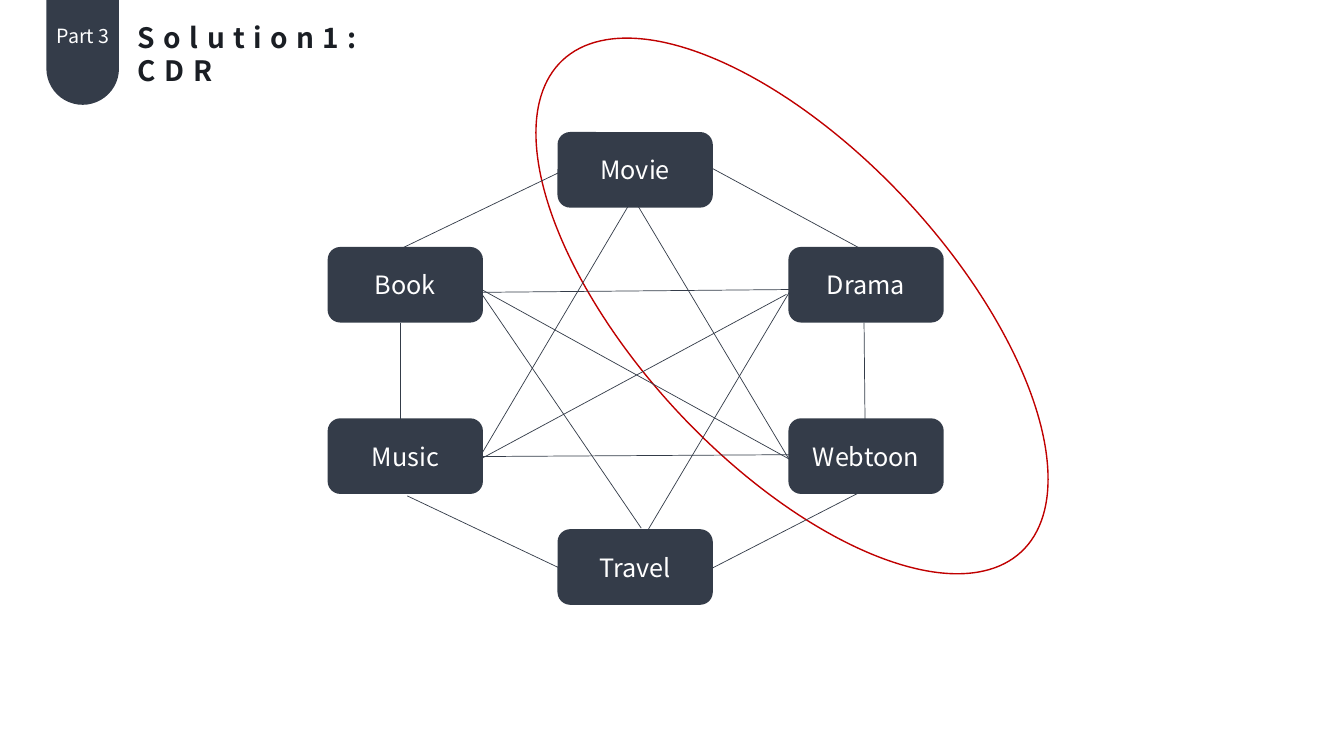
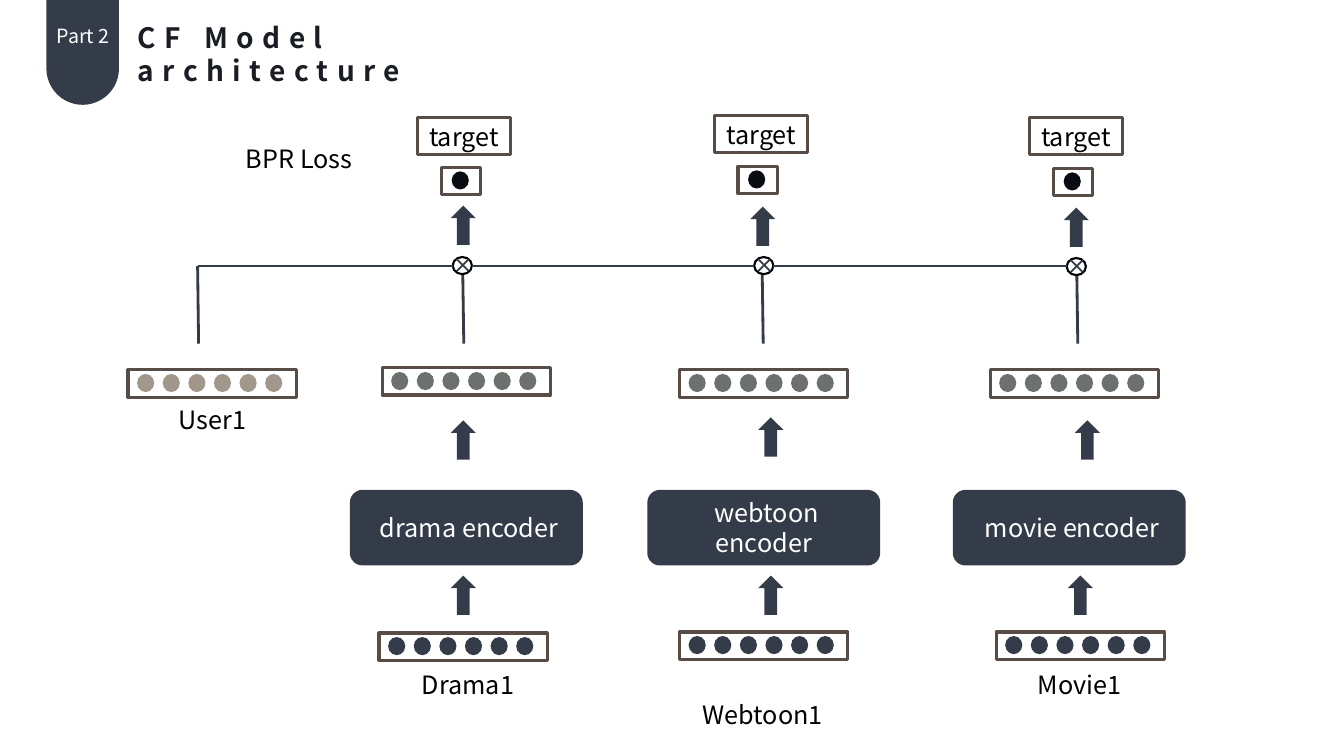
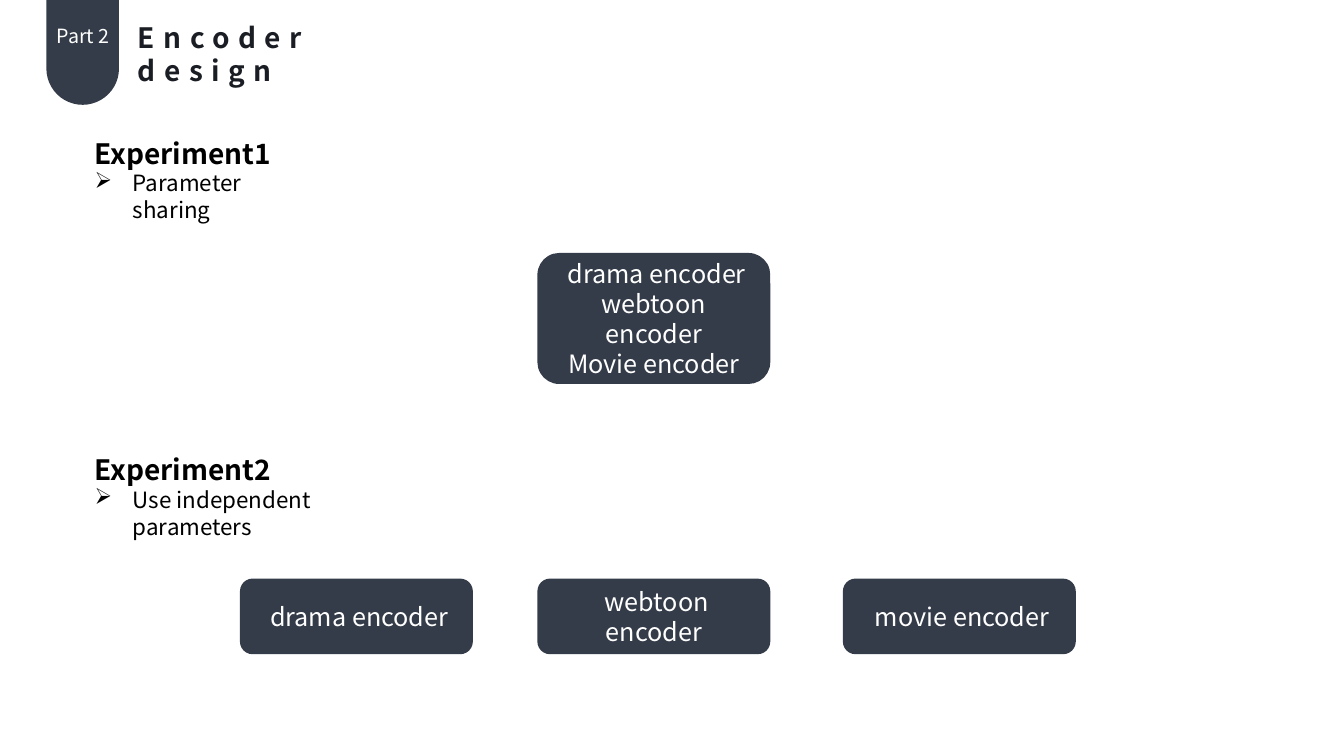
from dataclasses import dataclass

from lxml import etree
from pptx import Presentation
from pptx.dml.color import RGBColor
from pptx.enum import shapes, text
from pptx.oxml import ns
from pptx.util import Inches, Pt


@dataclass(frozen=True)
class Theme:
    font: str = "Noto Sans CJK KR"
    navy: str = "343C49"
    title: str = "1A1E24"
    white: str = "FFFFFF"
    black: str = "000000"
    score: str = "090C11"
    frame: str = "584C46"
    user: str = "A1978B"
    embedding: str = "6C716E"
    highlight: str = "C00000"
    heading_size: int = 20
    body_size: int = 18
    bullet_size: int = 16
    tag_size: int = 14


THEME = Theme()
KIND = shapes.MSO_SHAPE
CENTER = text.PP_ALIGN.CENTER


@dataclass(frozen=True)
class Column:
    """Places of one item's parts, from the input row at the bottom to the target."""
    item: str
    encoder: str
    encoder_left: float
    items: tuple
    label: tuple
    input_arrow: float
    output_arrow: tuple
    embedding: tuple
    stem: float
    gate: tuple
    score_arrow: tuple
    score: tuple
    target: tuple


COLUMNS = (
    Column(" Drama1", " drama encoder", 3.47, (3.76, 6.28), (4.03, 1.21), 4.47,
           (4.47, 4.17), (3.79, 3.65), 4.59, (4.49, 2.55), (4.47, 2.04),
           (4.38, 1.66), (4.14, 1.17)),
    Column(" Webtoon1", " webtoon encoder", 6.42, (6.74, 6.27), (6.87, 1.41), 7.52,
           (7.52, 4.14), (6.74, 3.67), 7.56, (7.48, 2.55), (7.44, 2.05),
           (7.32, 1.65), (7.09, 1.15)),
    Column(" Movie1", " movie encoder", 9.45, (9.88, 6.27), (10.14, 1.21), 10.59,
           (10.66, 4.17), (9.82, 3.67), 10.68, (10.58, 2.56), (10.55, 2.06),
           (10.45, 1.67), (10.21, 1.17)),
)


def rgb(color):
    return RGBColor.from_string(color)


def add_span(para, words, size, color, bold=False, spacing=0):
    span = para.add_run()
    span.text = words
    span.font.name = THEME.font
    span.font.size = Pt(size)
    span.font.bold = bold
    span.font.color.rgb = rgb(color)
    if spacing:
        span._r.get_or_add_rPr().set("spc", str(spacing * 100))


def add_shape(parent, kind, box, fill=None, line=None, weight=1):
    shape = parent.add_shape(kind, *map(Inches, box))
    shape.shadow.inherit = False
    if fill:
        shape.fill.solid()
        shape.fill.fore_color.rgb = rgb(fill)
    else:
        shape.fill.background()
    if line:
        shape.line.color.rgb = rgb(line)
        shape.line.width = Pt(weight)
    else:
        shape.line.fill.background()
    return shape


def add_line(parent, start, end, weight):
    line = parent.add_connector(shapes.MSO_CONNECTOR.STRAIGHT,
                                *map(Inches, (*start, *end)))
    line.line.color.rgb = rgb(THEME.navy)
    line.line.width = Pt(weight)
    etree.SubElement(line._element.spPr, ns.qn("a:effectLst"))


def add_text_box(page, box, wrap=True):
    frame = page.shapes.add_textbox(*map(Inches, box)).text_frame
    frame.word_wrap = wrap
    frame.auto_size = text.MSO_AUTO_SIZE.SHAPE_TO_FIT_TEXT
    return frame


def add_label(page, words, box):
    para = add_text_box(page, box).paragraphs[0]
    add_span(para, words, THEME.body_size, THEME.black)


def fill_centered(shape, lines, color):
    frame = shape.text_frame
    frame.word_wrap = True
    frame.vertical_anchor = text.MSO_ANCHOR.MIDDLE
    for index, words in enumerate(lines):
        para = frame.add_paragraph() if index else frame.paragraphs[0]
        para.alignment = CENTER
        add_span(para, words, THEME.body_size, color)


def add_block(page, lines, box):
    """Dark rounded box with centred lines."""
    block = add_shape(page.shapes, KIND.ROUNDED_RECTANGLE, box, THEME.navy)
    fill_centered(block, lines, THEME.white)


def add_encoder(page, lines, left, top, height=0.75):
    add_block(page, lines, (left, top, 2.31, height))


def add_page(deck, part, title, title_width):
    """Blank page with the hanging part tag and the title."""
    page = deck.slides.add_slide(deck.slide_layouts[6])
    tag = add_shape(page.shapes, KIND.ROUND_2_SAME_RECTANGLE,
                    (0.46, 0, 0.72, 1.04), THEME.navy)
    tag.adjustments[0], tag.adjustments[1] = 0, 0.5
    para = add_text_box(page, (1.27, 0.15, title_width, 0.44)).paragraphs[0]
    add_span(para, title, THEME.heading_size, THEME.title, bold=True, spacing=6)
    para = add_text_box(page, (0.46, 0.19, 0.73, 0.34), wrap=False).paragraphs[0]
    para.alignment = CENTER
    add_span(para, part, THEME.tag_size, THEME.white)
    return page


def add_dots(page, place, color, count=6):
    """Framed row of evenly spaced dots."""
    left, top = place
    row = page.shapes.add_group_shape().shapes
    width, inset = (1.67, 0.09) if count > 1 else (0.39, 0.1)
    pitch = 1.27 / 5
    for index in range(count):
        dot = (left + inset + index * pitch, top + 0.04, 0.17, 0.18)
        add_shape(row, KIND.OVAL, dot, color)
    add_shape(row, KIND.RECTANGLE, (left, top, width, 0.27), None, THEME.frame, 2.25)


def add_gate(page, place):
    """Circle with a cross: the product of two vectors."""
    left, top = place
    gate = page.shapes.add_group_shape().shapes
    add_shape(gate, KIND.OVAL, (left, top, 0.19, 0.17), None, THEME.black, 1.5)
    near, far, high, low = left + 0.04, left + 0.16, top + 0.02, top + 0.14
    add_line(gate, (near, high), (far, low), 1.25)
    add_line(gate, (near, low), (far, high), 1.25)


def add_up_arrow(page, left, top):
    add_shape(page.shapes, KIND.UP_ARROW, (left, top, 0.25, 0.39), THEME.navy)


def add_column(page, column):
    add_dots(page, column.items, THEME.navy)
    label_left, label_width = column.label
    add_label(page, column.item, (label_left, 6.59, label_width, 0.4))
    add_up_arrow(page, column.input_arrow, 5.71)
    add_encoder(page, [column.encoder], column.encoder_left, 4.86)
    add_up_arrow(page, *column.output_arrow)
    add_dots(page, column.embedding, THEME.embedding)
    add_line(page.shapes, (column.stem, 2.72), (column.stem + 0.01, 3.41), 2)
    add_gate(page, column.gate)
    add_up_arrow(page, *column.score_arrow)
    add_dots(page, column.score, THEME.score, count=1)
    target = add_shape(page.shapes, KIND.RECTANGLE, (*column.target, 0.92, 0.36),
                       None, THEME.frame, 2.25)
    fill_centered(target, ["target"], THEME.black)


def add_experiment(page, heading, point, top, width):
    frame = add_text_box(page, (0.84, top, width, 0.71))
    add_span(frame.paragraphs[0], heading, THEME.heading_size, THEME.black, bold=True)
    para = frame.add_paragraph()
    properties = para._p.get_or_add_pPr()
    properties.set("marL", str(Inches(0.38)))
    properties.set("indent", str(-Inches(0.38)))
    etree.SubElement(properties, ns.qn("a:buChar")).set("char", "➢")
    add_span(para, point, THEME.bullet_size, THEME.black)


def build_domain_graph(deck):
    page = add_page(deck, "Part 3", "Solution1: CDR", 3.12)
    ring = add_shape(page.shapes, KIND.OVAL, (4.52, 1.49, 6.67, 3.09),
                     THEME.white, THEME.highlight)
    ring.rotation = 227
    # The ring lies behind the tag and the title.
    tree = page.shapes._spTree
    tree.remove(ring._element)
    tree.insert(2, ring._element)

    left, middle, right = 3.25, 5.53, 7.82
    domains = {
        "Book": (left, 2.45), "Movie": (middle, 1.31), "Music": (left, 4.15),
        "Travel": (middle, 5.25), "Drama": (right, 2.45), "Webtoon": (right, 4.15),
    }
    for name, place in domains.items():
        add_block(page, [name], (*place, 1.54, 0.75))

    links = (
        ((4.7, 2.83), (7.82, 4.55)),   # Book, Webtoon
        ((4.7, 4.59), (7.8, 2.92)),    # Music, Drama
        ((8.12, 2.87), (4.78, 2.9)),   # Drama, Book
        ((6.99, 1.63), (8.56, 2.48)),  # Movie, Drama
        ((8.57, 3.2), (8.58, 4.23)),   # Drama, Webtoon
        ((6.96, 5.69), (8.73, 4.78)),  # Travel, Webtoon
        ((4.04, 4.92), (5.58, 5.65)),  # Music, Travel
        ((3.97, 3.2), (3.97, 4.2)),    # Book, Music
        ((5.59, 1.69), (3.95, 2.48)),  # Movie, Book
        ((4.74, 2.86), (6.36, 5.24)),  # Book, Travel
        ((6.26, 1.93), (7.87, 4.63)),  # Movie, Webtoon
        ((6.36, 5.37), (7.87, 2.83)),  # Travel, Drama
        ((6.34, 1.86), (4.69, 4.65)),  # Movie, Music
        ((7.99, 4.51), (4.65, 4.53)),  # Webtoon, Music
    )
    for start, end in links:
        add_line(page.shapes, start, end, 0.5)


def build_model(deck):
    page = add_page(deck, "Part 2", "CF Model architecture", 4.54)
    for column in COLUMNS:
        add_column(page, column)
    add_dots(page, (1.27, 3.67), THEME.user)
    add_label(page, " User1", (1.62, 3.96, 1.01, 0.4))
    add_label(page, "BPR Loss", (2.34, 1.37, 1.41, 0.4))
    add_line(page.shapes, (1.96, 2.64), (1.97, 3.41), 2)
    start = 1.96
    for column in COLUMNS:
        gate_left = column.gate[0]
        add_line(page.shapes, (start, 2.64), (gate_left, 2.64), 2)
        start = gate_left + 0.19


def build_encoder_design(deck):
    page = add_page(deck, "Part 2", "Encoder design", 3.15)
    add_experiment(page, "Experiment1", "Parameter sharing", 1.3, 2.25)
    add_encoder(page, [" drama encoder", "webtoon encoder", "Movie encoder"],
                5.33, 2.51, 1.3)
    add_experiment(page, "Experiment2", "Use independent parameters", 4.44, 3.23)
    for column in COLUMNS:
        add_encoder(page, [column.encoder], column.encoder_left - 1.09, 5.74)


def main():
    deck = Presentation()
    deck.slide_width, deck.slide_height = Inches(13.33), Inches(7.5)
    build_domain_graph(deck)
    build_model(deck)
    build_encoder_design(deck)
    deck.save("out.pptx")


if __name__ == "__main__":
    main()
